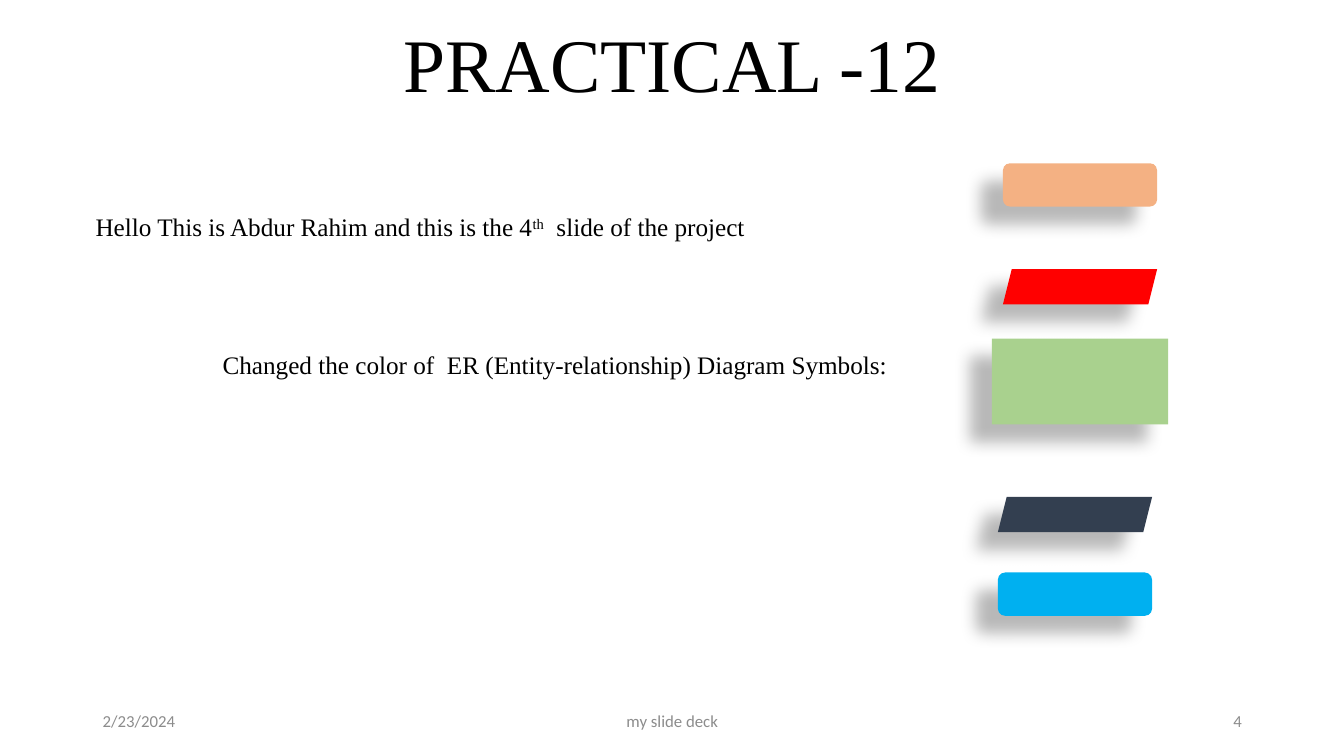
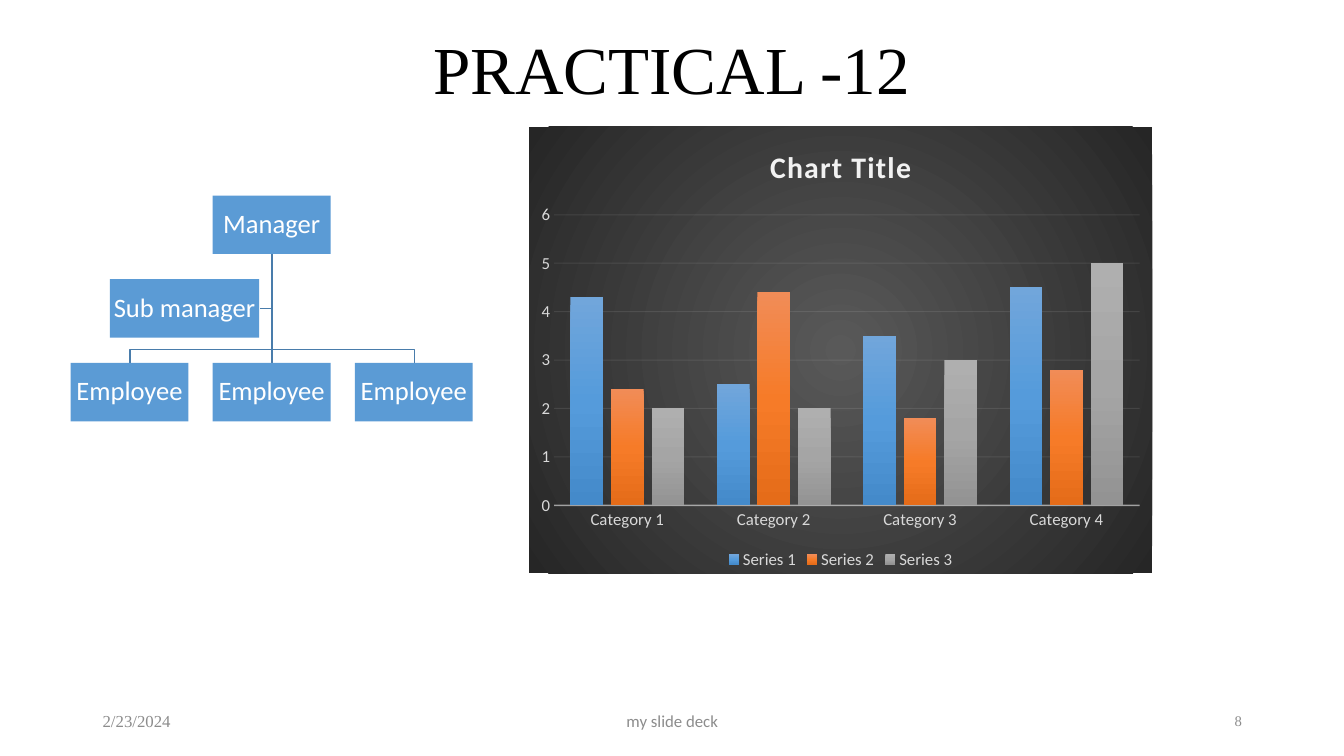
import pptx
import pptx.util
import pptx.oxml
import pptx.oxml.ns
import pptx.dml.color
import pptx.chart.data
import pptx.enum.chart
import pptx.enum.shapes
import pptx.enum.text

PX = 9144
COLORS = {
    "ink": "000000", "foot": "8C8C8C", "white": "FFFFFF",
    "peach": "F4B183", "red": "FF0000", "green": "A9D18E",
    "navy": "333F50", "sky": "00B0F0",
    "box": "5B9BD5", "wire": "497CAB",
    "label": "D9D9D9", "pale": "F2F2F2",
}
SERIF, SANS = "Times New Roman", "Calibri"
FADES = [
    ["71A6DB", "559BDB", "448ACA"],
    ["F18C57", "F67B28", "E56C19"],
    ["AFAFAF", "A5A5A5", "939393"],
]
DARK = ["595959", "262626"]
FORM = pptx.enum.shapes.MSO_SHAPE
ALIGN = pptx.enum.text.PP_ALIGN
ANCHOR = pptx.enum.text.MSO_ANCHOR
NS = pptx.oxml.ns.nsdecls("a")
qn = pptx.oxml.ns.qn


def px(*nums):
    return [pptx.util.Emu(num * PX) for num in nums]


def rgb(name):
    return pptx.dml.color.RGBColor.from_string(COLORS[name])


def style(font, size, name, color):
    font.size = pptx.util.Pt(size)
    font.name = name
    font.color.rgb = rgb(color)


def write(frame, text, size, name, color="ink", align=ALIGN.LEFT,
          anchor=ANCHOR.TOP, space=None):
    frame.word_wrap = True
    frame.vertical_anchor = anchor
    para = frame.paragraphs[0]
    para.alignment = align
    para.line_spacing = space
    for part, raised in [(text, False)] if isinstance(text, str) else text:
        run = para.add_run()
        run.text = part
        if raised:
            run._r.get_or_add_rPr().set("baseline", "30000")
    style(para.font, size, name, color)


def label(slide, box, text, size, name, **kwargs):
    frame = slide.shapes.add_textbox(*px(*box)).text_frame
    write(frame, text, size, name, **kwargs)


def solid(slide, form, box, color):
    shape = slide.shapes.add_shape(form, *px(*box))
    shape.shadow.inherit = False
    shape.fill.solid()
    shape.fill.fore_color.rgb = rgb(color)
    shape.line.fill.background()
    return shape


def frame(deck, size, number, date_font, num_font, num_size):
    slide = deck.slides.add_slide(deck.slide_layouts[6])
    label(slide, (367, 0, 599, 113), "PRACTICAL -12", size, SERIF,
          align=ALIGN.CENTER, anchor=ANCHOR.BOTTOM, space=0.9)
    for left, width, text, name, pts, align in [
        (92, 300, "2/23/2024", date_font, 12, ALIGN.LEFT),
        (442, 450, "my slide deck", SANS, 12, ALIGN.CENTER),
        (942, 300, number, num_font, num_size, ALIGN.RIGHT),
    ]:
        label(slide, (left, 695, width, 40), text, pts, name, color="foot",
              align=align, anchor=ANCHOR.MIDDLE)
    return slide


def symbols(slide, left, top):
    for form, x, y, wide, high, color in [
        (FORM.ROUNDED_RECTANGLE, 11, 0, 153, 43, "peach"),
        (FORM.PARALLELOGRAM, 11, 105, 153, 35, "red"),
        (FORM.RECTANGLE, 0, 174, 175, 85, "green"),
        (FORM.PARALLELOGRAM, 6, 331, 153, 35, "navy"),
        (FORM.ROUNDED_RECTANGLE, 6, 406, 153, 43, "sky"),
    ]:
        shape = solid(slide, form, (left + x, top + y, wide, high), color)
        glow = shape._element.spPr.find(qn("a:effectLst"))
        glow.append(pptx.oxml.parse_xml(
            f'<a:outerShdw {NS} blurRad="149860" dist="250190" dir="8460000" '
            'algn="ctr" rotWithShape="0"><a:srgbClr val="000000">'
            '<a:alpha val="28000"/></a:srgbClr></a:outerShdw>'))


def wire(slide, start, *bends):
    if len(bends) == 1:
        line = slide.shapes.add_connector(
            pptx.enum.shapes.MSO_CONNECTOR.STRAIGHT, *px(*start, *bends[0]))
        line._element.spPr.append(pptx.oxml.parse_xml(f"<a:effectLst {NS}/>"))
    else:
        pen = slide.shapes.build_freeform(*start, scale=PX)
        pen.add_line_segments(bends, close=False)
        line = pen.convert_to_shape()
        line.fill.background()
        line.shadow.inherit = False
    line.line.color.rgb = rgb("wire")
    line.line.width = pptx.util.Pt(1)


def staff(slide, left, top):
    wide, high, step, row = 117, 58, 141, 83
    low = top + 2 * row
    mid = left + step + wide // 2 + 1
    side = top + row + high // 2
    bar = low - 13
    root = (mid, top + high)
    wire(slide, root, (mid, side), (mid - 12, side))
    for x in (mid - step, mid + step):
        wire(slide, root, (mid, bar), (x, bar), (x, low))
    wire(slide, root, (mid, low))
    cards = [("Manager", left + step, top, wide),
             ("Sub manager", mid - 161, top + row, 148)]
    cards += [("Employee", left + k * step, low, wide) for k in range(3)]
    for text, x, y, width in cards:
        card = solid(slide, FORM.RECTANGLE, (x, y, width, high), "box")
        body = card.text_frame
        body.margin_left, body.margin_right = px(1, 1)
        body.margin_top, body.margin_bottom = px(1, 1)
        write(body, text, 19, SANS, "white", ALIGN.CENTER, ANCHOR.MIDDLE, 0.9)


def blend(hues, tail):
    gap = 100000 // (len(hues) - 1)
    stops = "".join(f'<a:gs pos="{k * gap}"><a:srgbClr val="{hue}"/></a:gs>'
                    for k, hue in enumerate(hues))
    return pptx.oxml.parse_xml(
        f"<a:gradFill {NS}><a:gsLst>{stops}</a:gsLst>{tail}</a:gradFill>")


def faint(line, width, alpha):
    line.color.rgb = rgb("pale")
    line.width = pptx.util.Pt(width)
    tint = line._get_or_add_ln().find(".//" + qn("a:srgbClr"))
    tint.append(pptx.oxml.parse_xml(f'<a:alpha {NS} val="{alpha}000"/>'))


def graph(slide, box):
    enum = pptx.enum.chart
    data = pptx.chart.data.CategoryChartData()
    data.categories = [f"Category {k}" for k in range(1, 5)]
    rows = [(4.3, 2.5, 3.5, 4.5), (2.4, 4.4, 1.8, 2.8), (2, 2, 3, 5)]
    for k, row in enumerate(rows, 1):
        data.add_series(f"Series {k}", row)
    chart = slide.shapes.add_chart(
        enum.XL_CHART_TYPE.COLUMN_CLUSTERED, *px(*box), data).chart
    style(chart.font, 12, SANS, "label")

    back = pptx.oxml.parse_xml(
        f'<c:spPr {pptx.oxml.ns.nsdecls("c", "a")}><a:ln><a:noFill/></a:ln></c:spPr>')
    back.insert(0, blend(DARK, '<a:path path="circle"><a:fillToRect l="50000" '
                         't="50000" r="50000" b="50000"/></a:path>'))
    chart._chartSpace.find(qn("c:chart")).addnext(back)

    chart.has_title = True
    para = chart.chart_title.text_frame.paragraphs[0]
    run = para.add_run()
    run.text = "Chart Title"
    run._r.get_or_add_rPr().set("spc", "100")
    style(para.font, 21.3, SANS, "pale")
    para.font.bold = True

    chart.has_legend = True
    chart.legend.position = enum.XL_LEGEND_POSITION.BOTTOM
    chart.legend.include_in_layout = False
    style(chart.legend.font, 12, SANS, "label")

    for axis in (chart.category_axis, chart.value_axis):
        axis.major_tick_mark = enum.XL_TICK_MARK.NONE
        axis.minor_tick_mark = enum.XL_TICK_MARK.NONE
        style(axis.tick_labels.font, 12, SANS, "label")
    faint(chart.category_axis.format.line, 1, 54)
    value = chart.value_axis
    value.minimum_scale, value.maximum_scale, value.major_unit = 0, 6, 1
    value.format.line.fill.background()
    value.has_major_gridlines = True
    faint(value.major_gridlines.format.line, 0.75, 10)

    plot = chart.plots[0]
    plot.gap_width, plot.overlap = 100, -24
    plot.vary_by_categories = False
    for series, hues in zip(plot.series, FADES):
        series._element.get_or_add_spPr().append(
            blend(hues, '<a:lin ang="5400000" scaled="0"/>'))


def main():
    deck = pptx.Presentation()
    deck.slide_width = pptx.util.Inches(40 / 3)
    deck.slide_height = pptx.util.Inches(7.5)

    slide = frame(deck, 54, "4", SANS, SANS, 12)
    label(slide, (85, 205, 857, 40),
          [("Hello This is Abdur Rahim and this is the 4", False),
           ("th", True), ("  slide of the project", False)], 18, SERIF)
    symbols(slide, 984, 162)
    label(slide, (211, 342, 785, 40),
          "Changed the color of  ER (Entity-relationship) Diagram Symbols:",
          18, SERIF)

    slide = frame(deck, 48, "8", SERIF, SERIF, 10.5)
    graph(slide, (525, 126, 618, 443))
    staff(slide, 70, 194)
    deck.save("out.pptx")


if __name__ == "__main__":
    main()
